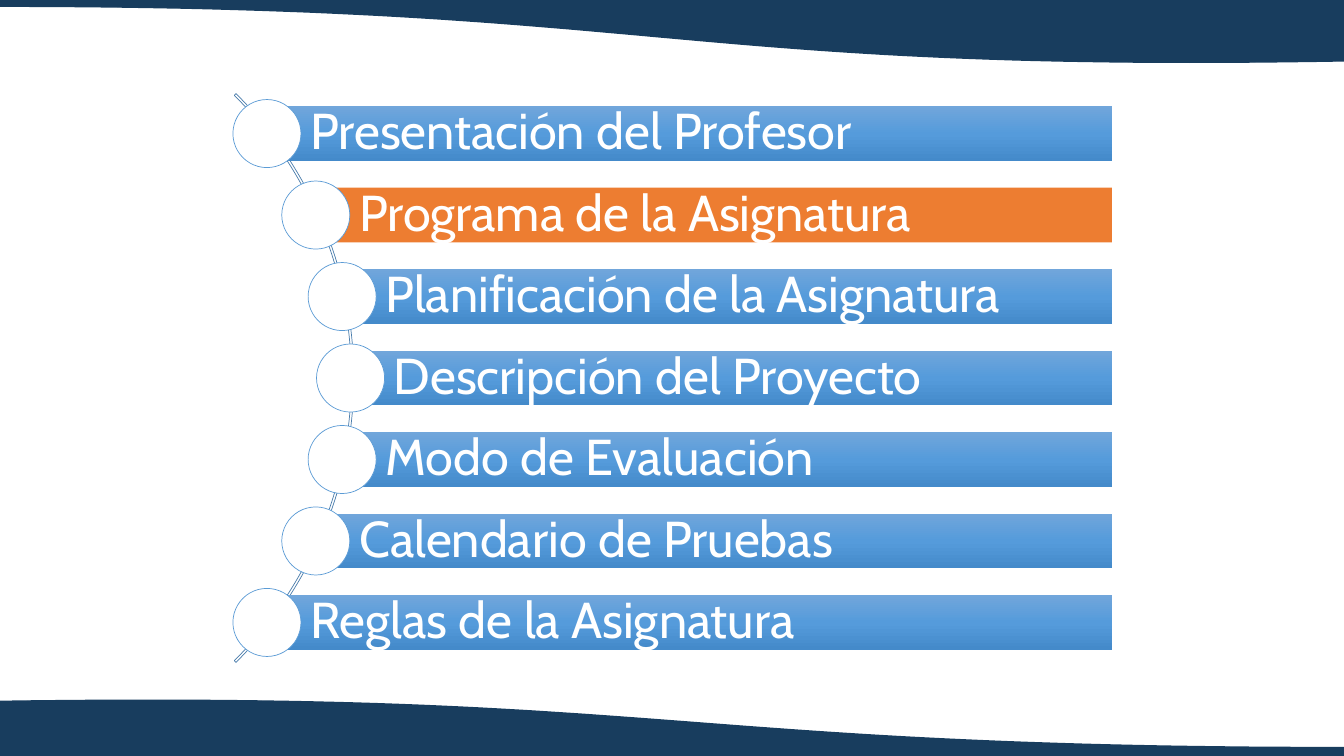
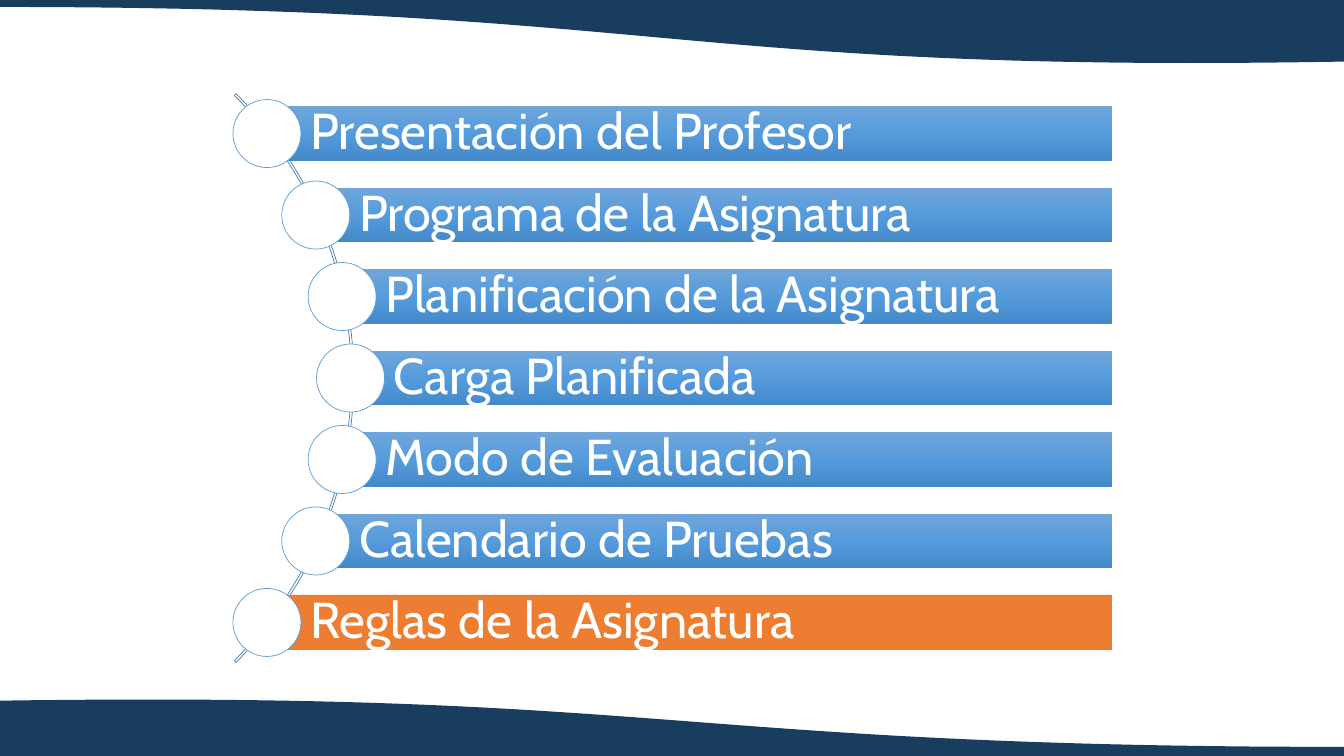
import copy
import math

import pptx
import pptx.dml.color
import pptx.enum.shapes
import pptx.enum.text
import pptx.oxml.ns
import pptx.util

Pt = pptx.util.Pt
RGBColor = pptx.dml.color.RGBColor
MSO_SHAPE = pptx.enum.shapes.MSO_SHAPE

NAVY = RGBColor(0x18, 0x3D, 0x5E)
WHITE = RGBColor(0xFF, 0xFF, 0xFF)
ORANGE = RGBColor(0xED, 0x7D, 0x31)
ARC_BLUE = RGBColor(0x49, 0x7C, 0xAB)
RING_BLUE = RGBColor(0x5B, 0x9B, 0xD5)
BAR_BLUES = (
    RGBColor(0x71, 0xA6, 0xDB),
    RGBColor(0x55, 0x9B, 0xDB),
    RGBColor(0x44, 0x8A, 0xCA),
)
FONT = "Cabin"

PAGE_WIDTH, PAGE_HEIGHT = 960, 540
AGENDA_BOX = (160, 60, 634.3, 420)  # left, top, width, height

# Each wave: the straight edge's height, then the four heights of its curve.
WAVES = (
    (-2, (4.5, 4.5, 52, 43.5)),
    (PAGE_HEIGHT, (501, 494, 534, 534)),
)
WAVE_STEPS = 60

ROW_PITCH = 58.2
BAR_HEIGHT = 39.2
RING_SIZE = 48.6
ARC_SIZE = 574.6
BEAD_RADIUS = 285  # distance from the arc's centre to each ring's centre
ARC_INSET = 194.6  # how far the arc's centre lies left of the agenda box

AGENDAS = (
    (
        (
            "Presentación del Profesor",
            "Programa de la Asignatura",
            "Planificación de la Asignatura",
            "Descripción del Proyecto",
            "Modo de Evaluación",
            "Calendario de Pruebas",
            "Reglas de la Asignatura",
        ),
        "Programa de la Asignatura",
    ),
    (
        (
            "Presentación del Profesor",
            "Programa de la Asignatura",
            "Planificación de la Asignatura",
            "Carga Planificada",
            "Modo de Evaluación",
            "Calendario de Pruebas",
            "Reglas de la Asignatura",
        ),
        "Reglas de la Asignatura",
    ),
)


def bezier(t, a, b, c, d):
    u = 1 - t
    return u**3 * a + 3 * u**2 * t * b + 3 * u * t**2 * c + t**3 * d


def add_wave(page, edge, heights):
    half = PAGE_WIDTH / 2
    steps = [step / WAVE_STEPS for step in range(WAVE_STEPS + 1)]
    curve = [
        (Pt(bezier(t, 0, half, half, PAGE_WIDTH)), Pt(bezier(t, *heights)))
        for t in steps
    ]
    builder = page.shapes.build_freeform(Pt(0), Pt(edge))
    builder.add_line_segments(curve + [(Pt(PAGE_WIDTH), Pt(edge))], close=True)
    wave = builder.convert_to_shape()
    wave.shadow.inherit = False
    wave.fill.solid()
    wave.fill.fore_color.rgb = NAVY
    wave.line.color.rgb = NAVY
    wave.line.width = Pt(1)
    return wave


def share_waves(page):
    """Draw the waves on a page and hand them to its layout."""
    for edge, heights in WAVES:
        wave = add_wave(page, edge, heights)
        page.slide_layout.shapes.element.append(wave.element)


def add_preset(page, preset, left, top, width, height):
    shape = page.shapes.add_shape(preset, Pt(left), Pt(top), Pt(width), Pt(height))
    shape.shadow.inherit = False
    return shape


def fill_with_blues(shape):
    shape.fill.gradient()
    shape.fill.gradient_angle = 270
    stop_list = shape.element.find(".//" + pptx.oxml.ns.qn("a:gsLst"))
    stop_list.append(copy.deepcopy(stop_list[0]))
    for index, (stop, blue) in enumerate(zip(shape.fill.gradient_stops, BAR_BLUES)):
        stop.color.rgb = blue
        stop.position = index / 2


def add_arc(page, center_x, center_y):
    arc = add_preset(page, MSO_SHAPE.BLOCK_ARC, center_x - ARC_SIZE / 2,
                     center_y - ARC_SIZE / 2, ARC_SIZE, ARC_SIZE)
    for index, value in enumerate((189, 27, 0.003)):
        arc.adjustments[index] = value
    arc.fill.background()
    arc.line.color.rgb = ARC_BLUE
    arc.line.width = Pt(0.5)


def add_bar(page, left, middle, right, text, active):
    bar = add_preset(page, MSO_SHAPE.RECTANGLE, left, middle - BAR_HEIGHT / 2,
                     right - left, BAR_HEIGHT)
    bar.line.fill.background()
    if active:
        bar.fill.solid()
        bar.fill.fore_color.rgb = ORANGE
    else:
        fill_with_blues(bar)

    frame = bar.text_frame
    frame.word_wrap = True
    frame.vertical_anchor = pptx.enum.text.MSO_ANCHOR.MIDDLE
    frame.margin_left = Pt(31)
    frame.margin_top = frame.margin_right = frame.margin_bottom = Pt(7.2)
    para = frame.paragraphs[0]
    para.alignment = pptx.enum.text.PP_ALIGN.LEFT
    para.line_spacing = 0.9
    span = para.add_run()
    span.text = text
    span.font.name = FONT
    span.font.size = Pt(36)
    span.font.color.rgb = WHITE


def add_ring(page, center_x, center_y):
    ring = add_preset(page, MSO_SHAPE.OVAL, center_x - RING_SIZE / 2,
                      center_y - RING_SIZE / 2, RING_SIZE, RING_SIZE)
    ring.fill.solid()
    ring.fill.fore_color.rgb = WHITE
    ring.line.color.rgb = RING_BLUE
    ring.line.width = Pt(0.5)


def add_agenda(page, box, topics, current):
    """Place the topics as bars whose rings sit along an arc."""
    left, top, width, height = box
    arc_x = left - ARC_INSET
    arc_y = top + height / 2
    add_arc(page, arc_x, arc_y)
    for index, topic in enumerate(topics):
        offset = (index - (len(topics) - 1) / 2) * ROW_PITCH
        ring_x = arc_x + math.sqrt(BEAD_RADIUS**2 - offset**2)
        row_y = arc_y + offset
        add_bar(page, ring_x, row_y, left + width, topic, topic == current)
        add_ring(page, ring_x, row_y)


def main():
    deck = pptx.Presentation()
    deck.slide_width = Pt(PAGE_WIDTH)
    deck.slide_height = Pt(PAGE_HEIGHT)
    blank = deck.slide_layouts[6]
    pages = [deck.slides.add_slide(blank) for agenda in AGENDAS]
    share_waves(pages[0])
    for page, (topics, current) in zip(pages, AGENDAS):
        add_agenda(page, AGENDA_BOX, topics, current)
    deck.save("out.pptx")


if __name__ == "__main__":
    main()
